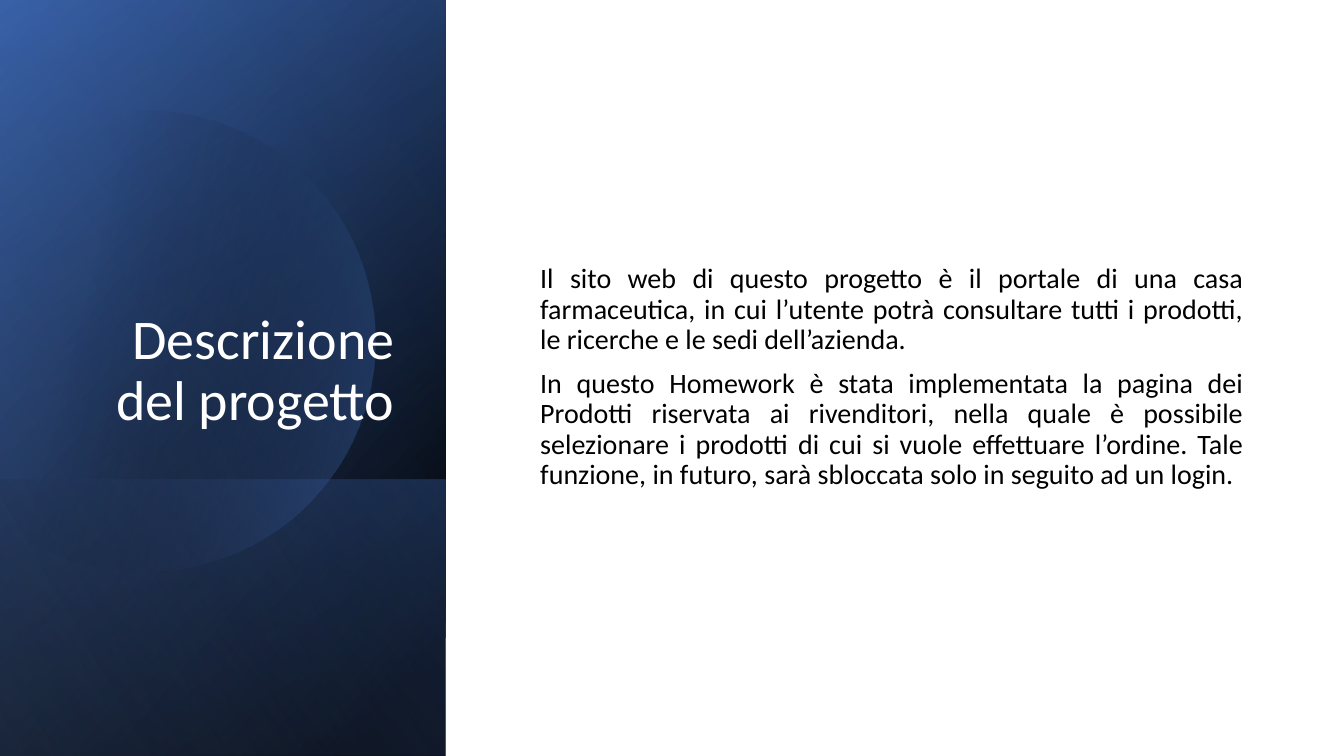
from lxml import etree
from pptx import Presentation
from pptx.dml.color import RGBColor
from pptx.enum import shapes, text
from pptx.oxml.ns import qn
from pptx.util import Inches, Pt


def paint(shape, stops, angle=0):
    """Fill with one hex colour, or a gradient of (position %, hex colour, opacity %)."""
    shape.shadow.inherit = False
    shape.line.fill.background()
    if isinstance(stops, str):
        shape.fill.solid()
        shape.fill.fore_color.rgb = RGBColor.from_string(stops)
        return
    shape.fill.background()
    gradient = etree.Element(qn("a:gradFill"), rotWithShape="1")
    stop_list = etree.SubElement(gradient, qn("a:gsLst"))
    for position, color, opacity in stops:
        stop = etree.SubElement(stop_list, qn("a:gs"), pos=str(position * 1000))
        rgb = etree.SubElement(stop, qn("a:srgbClr"), val=color)
        etree.SubElement(rgb, qn("a:alpha"), val=str(opacity * 1000))
    etree.SubElement(gradient, qn("a:lin"), ang=str(angle * 60000), scaled="0")
    properties = shape._element.spPr
    properties.replace(properties.find(qn("a:noFill")), gradient)


def add_panel(left, top, width, height, stops, angle):
    """Add a rectangle mirrored and turned a quarter, so its gradient turns too."""
    panel = page.shapes.add_shape(
        shapes.MSO_SHAPE.RECTANGLE, *map(Inches, (left, top, width, height)))
    panel.rotation = 90
    panel._element.spPr.xfrm.set("flipH", "1")
    paint(panel, stops, angle)


deck = Presentation()
deck.slide_width, deck.slide_height = Inches(13.33), Inches(7.5)
page = deck.slides.add_slide(deck.slide_layouts[6])

backdrop = page.shapes.add_shape(
    shapes.MSO_SHAPE.RECTANGLE, 0, 0, deck.slide_width, deck.slide_height)
paint(backdrop, "FFFFFF")

# Layered gradients of the left band
add_panel(-1.54, 1.54, 7.5, 4.42, [(8, "000000", 100), (100, "2F5597", 100)], 50)
add_panel(-1.54, 1.54, 7.5, 4.42, [(0, "000000", 0), (99, "4472C4", 46)], 30)
add_panel(0.84, 3.92, 2.74, 4.42, [(2, "4472C4", 29), (100, "000000", 30)], 130)

# Disc cut off at the left, its curves sampled from Bezier segments
disc_start = (1.49, 1.1)
disc_curves = [
    [(2.46, 1.12), (3.35, 1.77), (3.63, 2.75)],
    [(3.98, 3.97), (3.28, 5.23), (2.07, 5.58)],
    [(1.31, 5.8), (0.53, 5.61), (-0.03, 5.14)],
    [(-0.15, 5.03)],
    [(-0.15, 1.75)],
    [(0, 1.61)],
    [(0.23, 1.42), (0.5, 1.28), (0.8, 1.19)],
    [(1.03, 1.13), (1.26, 1.1), (1.49, 1.1)],
]
STEPS = 24
outline = [disc_start]
for curve in disc_curves:
    if len(curve) == 1:
        outline += curve
        continue
    controls = [outline[-1], *curve]
    for step in range(1, STEPS + 1):
        t = step / STEPS
        weights = ((1 - t) ** 3, 3 * t * (1 - t) ** 2, 3 * t * t * (1 - t), t ** 3)
        outline.append(tuple(
            sum(weight * point[axis] for weight, point in zip(weights, controls))
            for axis in (0, 1)))
builder = page.shapes.build_freeform(
    Inches(disc_start[0]), Inches(disc_start[1]))
builder.add_line_segments([(Inches(x), Inches(y)) for x, y in outline[1:]])
paint(builder.convert_to_shape(), [(29, "000000", 0), (100, "4472C4", 43)], 14)

add_panel(-1.54, 1.54, 7.5, 4.42, [(0, "000000", 0), (99, "8FAADC", 11)], 120)

texts = [
    ((0.51, 0.64, 3.5, 3.7), text.MSO_ANCHOR.BOTTOM, 40, "FFFFFF",
     {"alignment": text.PP_ALIGN.RIGHT, "line_spacing": 0.9},
     ["Descrizione del progetto"]),
    ((5.26, 0.71, 7.17, 6.07), text.MSO_ANCHOR.MIDDLE, 20, "000000",
     {"alignment": text.PP_ALIGN.JUSTIFY, "line_spacing": 0.9, "space_before": Pt(10)},
     ["Il sito web di questo progetto è il portale di una casa farmaceutica, in cui "
      "l’utente potrà consultare tutti i prodotti, le ricerche e le sedi dell’azienda.",
      "In questo Homework è stata implementata la pagina dei Prodotti riservata ai "
      "rivenditori, nella quale è possibile selezionare i prodotti di cui si vuole "
      "effettuare l’ordine. Tale funzione, in futuro, sarà sbloccata solo in seguito "
      "ad un login."]),
]
for place, anchor, size, color, layout, paragraphs in texts:
    frame = page.shapes.add_textbox(*map(Inches, place)).text_frame
    frame.word_wrap = True
    frame.vertical_anchor = anchor
    frame.text = "\n".join(paragraphs)
    for para in frame.paragraphs:
        for name, value in layout.items():
            setattr(para, name, value)
        for span in para.runs:
            span.font.name = "Calibri"
            span.font.size = Pt(size)
            span.font.color.rgb = RGBColor.from_string(color)

deck.save("out.pptx")
